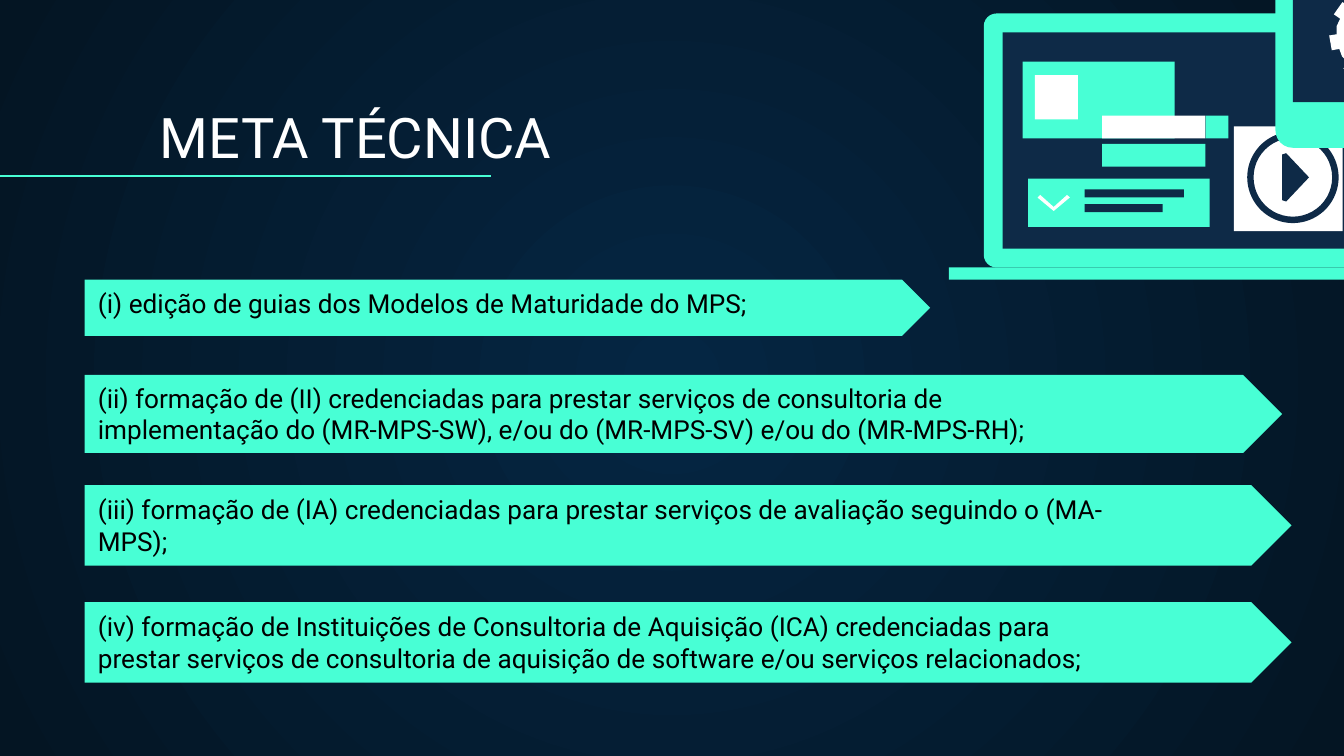
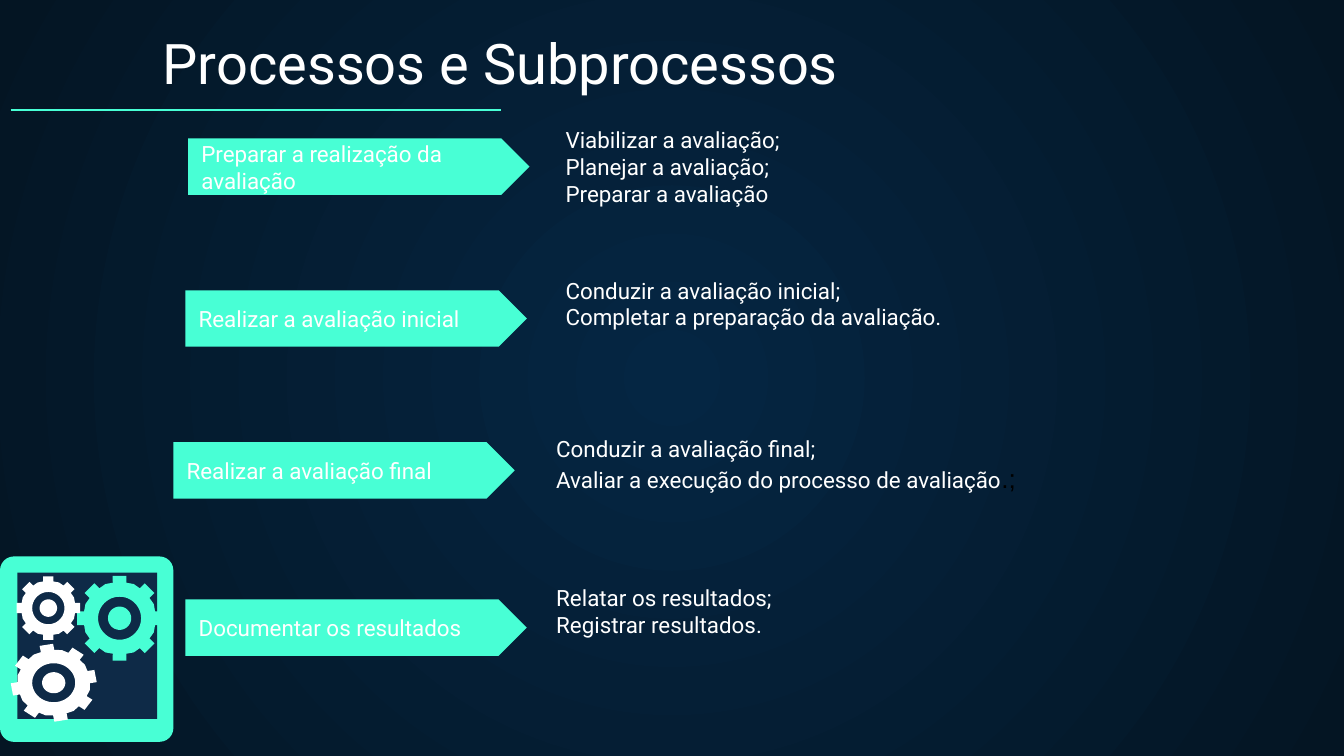
"""Build two dark slides on technical goals and assessment processes."""
from dataclasses import dataclass
from math import cos, pi, sin

from lxml.etree import SubElement as Sub
from pptx import Presentation
from pptx.dml.color import RGBColor as Rgb
from pptx.enum.shapes import MSO_CONNECTOR as Conn, MSO_SHAPE as Kind
from pptx.enum.text import MSO_ANCHOR as Anchor, MSO_AUTO_SIZE as Fit, PP_ALIGN as Align
from pptx.oxml.ns import qn
from pptx.util import Inches, Pt


@dataclass(frozen=True)
class Type:
    size: int
    font: str
    color: str


@dataclass(frozen=True)
class Theme:
    mint: str = "48FFD5"
    navy: str = "0E2A47"
    white: str = "FFFFFF"
    glow: str = "052643"
    edge: str = "041523"
    rule: float = 0.75
    pad: float = 1
    head: Type = Type(30, "Roboto", "FFFFFF")
    item: Type = Type(14, "Roboto", "000000")
    note: Type = Type(12, "Roboto", "FFFFFF")
    tail: Type = Type(14, "Arial", "000000")


class Deck:
    """Hold the theme and current slide on a grid of 100 columns with square cells."""

    def __init__(self, theme):
        self.theme = theme
        self.show = Presentation()
        self.show.slide_width = Inches(10)
        self.show.slide_height = Inches(5.625)
        self.cell = self.show.slide_width / 100
        self.back()

    def back(self):
        master = self.show.slide_master
        fill = master.background.fill
        fill.gradient()
        for stop, tone in zip(fill.gradient_stops, (self.theme.glow, self.theme.edge)):
            stop.color.rgb = Rgb.from_string(tone)
        grad = master.element.find(".//" + qn("a:gradFill"))
        grad.remove(grad.find(qn("a:lin")))
        ring = Sub(grad, qn("a:path"), path="circle")
        Sub(ring, qn("a:fillToRect"), {side: "50000" for side in "ltrb"})

    def units(self, *spans):
        return [round(span * self.cell) for span in spans]

    def page(self, title, left, top, start, level):
        self.slide = self.show.slides.add_slide(self.show.slide_layouts[5])
        self.shapes = self.slide.shapes
        head = self.shapes.title
        head.left, head.top, head.width, head.height = self.units(left, top, 85.7, 6.6)
        self.label(head, [[(title, self.theme.head)]], Anchor.BOTTOM)
        self.rule(start, level, 36.5)

    def label(self, shape, paras, anchor, pad=None, fit=Fit.NONE):
        frame = shape.text_frame
        frame.word_wrap = True
        frame.auto_size = fit
        frame.vertical_anchor = anchor
        side, rise = self.units(self.theme.pad, self.theme.pad if pad is None else pad)
        frame.margin_left = frame.margin_right = side
        frame.margin_top = frame.margin_bottom = rise
        for spot, runs in enumerate(paras):
            para = frame.add_paragraph() if spot else frame.paragraphs[0]
            para.alignment = Align.LEFT
            for text, kind in runs:
                run = para.add_run()
                run.text = text
                run.font.size = Pt(kind.size)
                run.font.name = kind.font
                run.font.color.rgb = Rgb.from_string(kind.color)

    def paint(self, shape, tone):
        shape.shadow.inherit = False
        shape.fill.solid()
        shape.fill.fore_color.rgb = Rgb.from_string(tone)
        shape.line.fill.background()
        return shape

    def block(self, box, tone, kind=Kind.RECTANGLE, bend=None):
        shape = self.shapes.add_shape(kind, *self.units(*box))
        if bend is not None:
            shape.adjustments[0] = bend
        return self.paint(shape, tone)

    def arrow(self, box):
        return self.block(box, self.theme.mint, Kind.PENTAGON, 0.5)

    def text(self, box, paras, anchor=Anchor.TOP, pad=0.5, fit=Fit.SHAPE_TO_FIT_TEXT):
        area = self.shapes.add_textbox(*self.units(*box))
        self.label(area, paras, anchor, pad, fit)

    def rule(self, left, level, width):
        ends = self.units(left, level, left + width, level)
        line = self.shapes.add_connector(Conn.STRAIGHT, *ends)
        line.line.color.rgb = Rgb.from_string(self.theme.mint)
        line.line.width = Pt(self.theme.rule)
        Sub(line.element.spPr, qn("a:effectLst"))

    def form(self, loops, tone):
        first, *rest = [[self.units(*dot) for dot in loop] for loop in loops]
        pen = self.shapes.build_freeform(*first[0], scale=1.0)
        pen.add_line_segments(first[1:], close=True)
        for loop in rest:
            pen.move_to(*loop[0])
            pen.add_line_segments(loop[1:], close=True)
        self.paint(pen.convert_to_shape(), tone)

    def gear(self, mid, wide, high, tone, tilt=0):
        def dot(reach, turn):
            turn += tilt * pi / 180
            return mid[0] + wide * reach * sin(turn), mid[1] - high * reach * cos(turn)

        teeth = [dot(reach, tooth * pi / 4 + turn)
                 for tooth in range(8)
                 for reach, turn in ((0.84, -0.19), (1, -0.16), (1, 0.16), (0.84, 0.19),
                                     (0.86, pi / 8))]
        rings = [[dot(reach, step * pi / 24) for step in range(48)]
                 for reach in (0.5, 0.27)]
        self.form([teeth, *rings], tone)


def goals(deck):
    look = deck.theme
    deck.page("META TÉCNICA", 10.9, 7, 0, 13.1)
    rows = [
        ((20.8, 62.9, 4.2), (22.9, 51.2, 1.7),
         "(i) edição de guias dos Modelos de Maturidade do MPS;"),
        ((27.9, 89.1, 5.8), (29.9, 77, 4.2),
         "(ii) formação de (II) credenciadas para prestar serviços de consultoria de "
         "implementação do (MR-MPS-SW), e/ou do (MR-MPS-SV) e/ou do (MR-MPS-RH);"),
        ((36.1, 89.8, 6), (40.3, 77, 2.1),
         "(iii) formação de (IA) credenciadas para prestar serviços de avaliação "
         "seguindo o (MA-MPS);"),
        ((44.8, 89.8, 6), (49, 77, 2.1),
         "(iv) formação de Instituições de Consultoria de Aquisição (ICA) credenciadas "
         "para prestar serviços de consultoria de aquisição de software e/ou serviços "
         "relacionados;"),
    ]
    for bar, area, words in rows:
        deck.arrow((6.3, *bar))
        deck.text((6.3, *area), [[(words, look.item)]], Anchor.BOTTOM, look.pad, Fit.NONE)
    laptop(deck)


def laptop(deck):
    look = deck.theme
    mint, navy, white = look.mint, look.navy, look.white
    deck.block((73.2, 1, 29.3, 18.9), mint, Kind.ROUNDED_RECTANGLE, 0.05)
    parts = [
        ((74.6, 2.4, 26.5, 16.1), navy),
        ((70.6, 19.9, 34.6, 0.9), mint),
        ((76.1, 4.6, 11.3, 5.7), mint),
        ((77, 5.6, 3.2, 3.3), white),
        ((76.5, 13.3, 13.5, 3.6), mint),
        ((80.7, 14.1, 7.4, 0.6), navy),
        ((80.7, 15.2, 5.8, 0.6), navy),
        ((82, 10.7, 7.7, 1.7), mint),
        ((82, 8.6, 7.7, 1.7), white),
        ((89.7, 8.6, 1.7, 1.7), mint),
        ((91.8, 9.4, 8.1, 7.8), white),
    ]
    for box, tone in parts:
        deck.block(box, tone)
    deck.form([[(77.2, 14.7), (77.4, 14.5), (78.4, 15.4), (79.4, 14.5), (79.6, 14.7),
                (78.4, 15.7)]], white)
    deck.block((92.8, 9.8, 6.8, 6.8), navy, Kind.DONUT, 0.07)
    deck.form([[(95.4, 11.5), (95.7, 11.4), (97.4, 13.2), (95.7, 15), (95.4, 14.9)]], navy)
    deck.block((94.9, -10.4, 16.1, 21.4), mint, Kind.ROUNDED_RECTANGLE, 0.08)
    deck.block((96.2, -8.8, 13.5, 16.4), navy)
    deck.gear((102.4, 2.6), 3.5, 3.5, white, -10)


def steps(deck):
    look = deck.theme
    deck.page("Processos e Subprocessos", 11.1, 1.5, 0.8, 8.2)
    rows = [
        ((14, 10.3), ["Preparar a realização da", "avaliação"], (41.1, 8.9, 57.1, 7.1),
         ["Viabilizar a avaliação;", "Planejar a avaliação;", "Preparar a avaliação"], ""),
        ((13.8, 21.6), ["Realizar a avaliação inicial"], (41.1, 20.1, 55.7, 7.1),
         ["Conduzir a avaliação inicial;", "Completar a preparação da avaliação."], ""),
        ((12.9, 32.9), ["Realizar a avaliação final"], (40.4, 31.9, 58.4, 7.4),
         ["Conduzir a avaliação final;", "Avaliar a execução do processo de avaliação"],
         ".;"),
        ((13.8, 44.6), ["Documentar os resultados"], (40.4, 43, 54.8, 5),
         ["Relatar os resultados;", "Registrar resultados."], ""),
    ]
    for spot, name, area, notes, close in rows:
        bar = deck.arrow((*spot, 25.4, 4.2))
        deck.label(bar, [[(line, look.note)] for line in name], Anchor.MIDDLE)
        paras = [[(line, look.note)] for line in notes]
        if close:
            paras[-1].append((close, look.tail))
        deck.text(area, paras)
    tablet(deck)


def tablet(deck):
    look = deck.theme
    deck.block((0, 41.4, 12.9, 13.8), look.mint, Kind.ROUNDED_RECTANGLE, 0.08)
    deck.block((1.3, 42.6, 10.4, 10.9), look.navy)
    deck.gear((8.9, 46), 3.2, 3.2, look.mint)
    deck.gear((3.6, 45.25), 2.4, 2.4, look.white)
    deck.gear((4, 50.8), 3.2, 2.9, look.white, -10)


deck = Deck(Theme())
goals(deck)
steps(deck)
deck.show.save("out.pptx")
